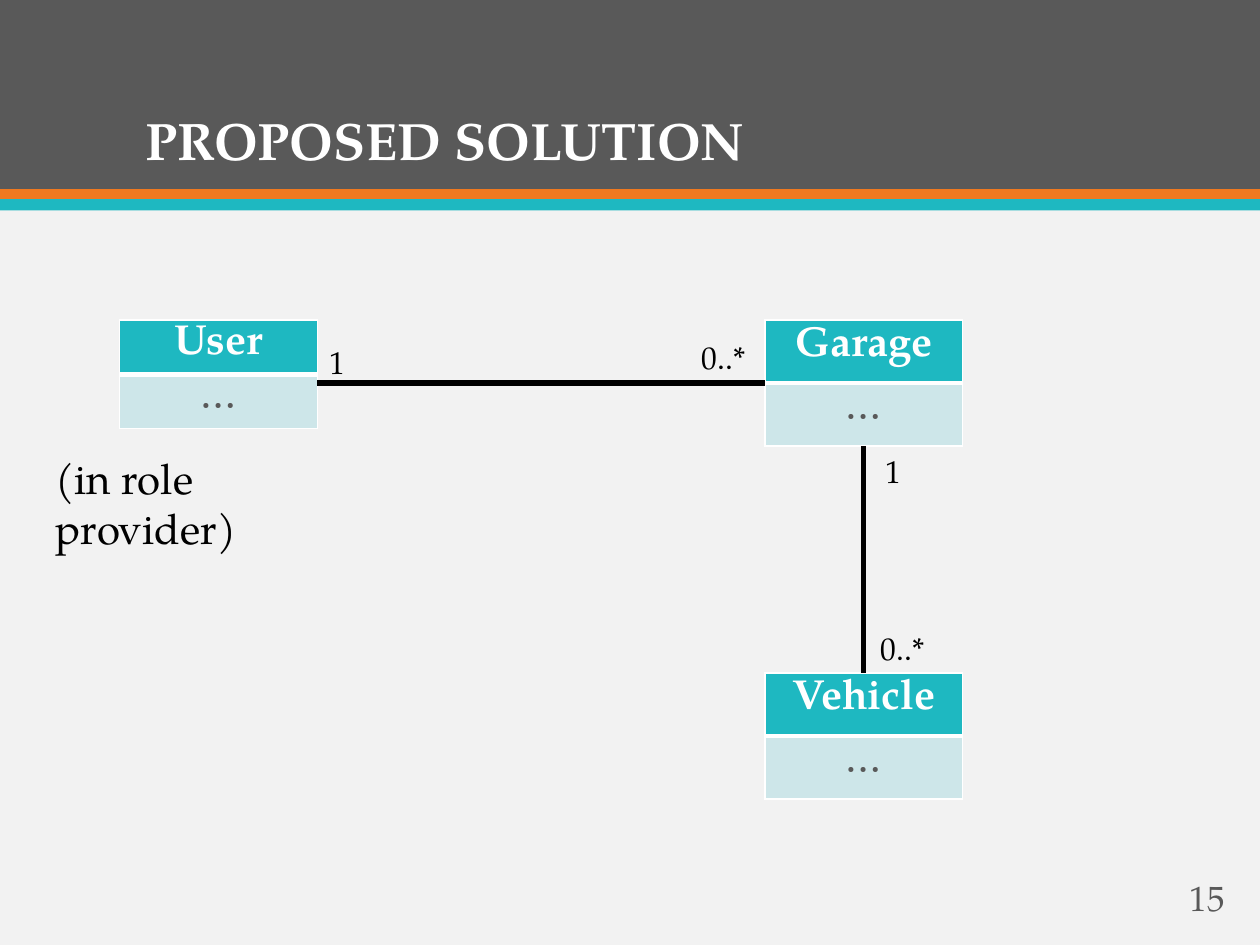
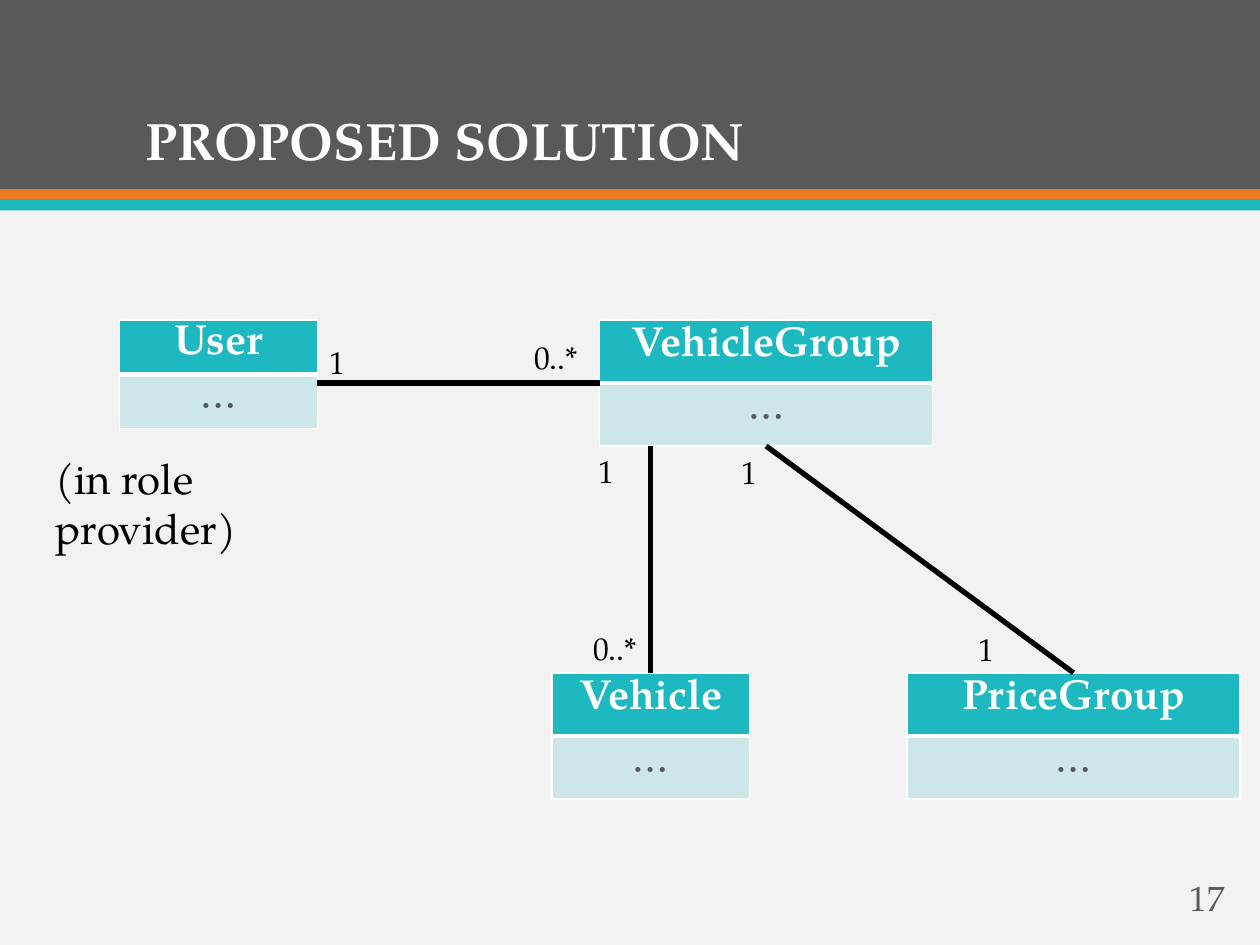
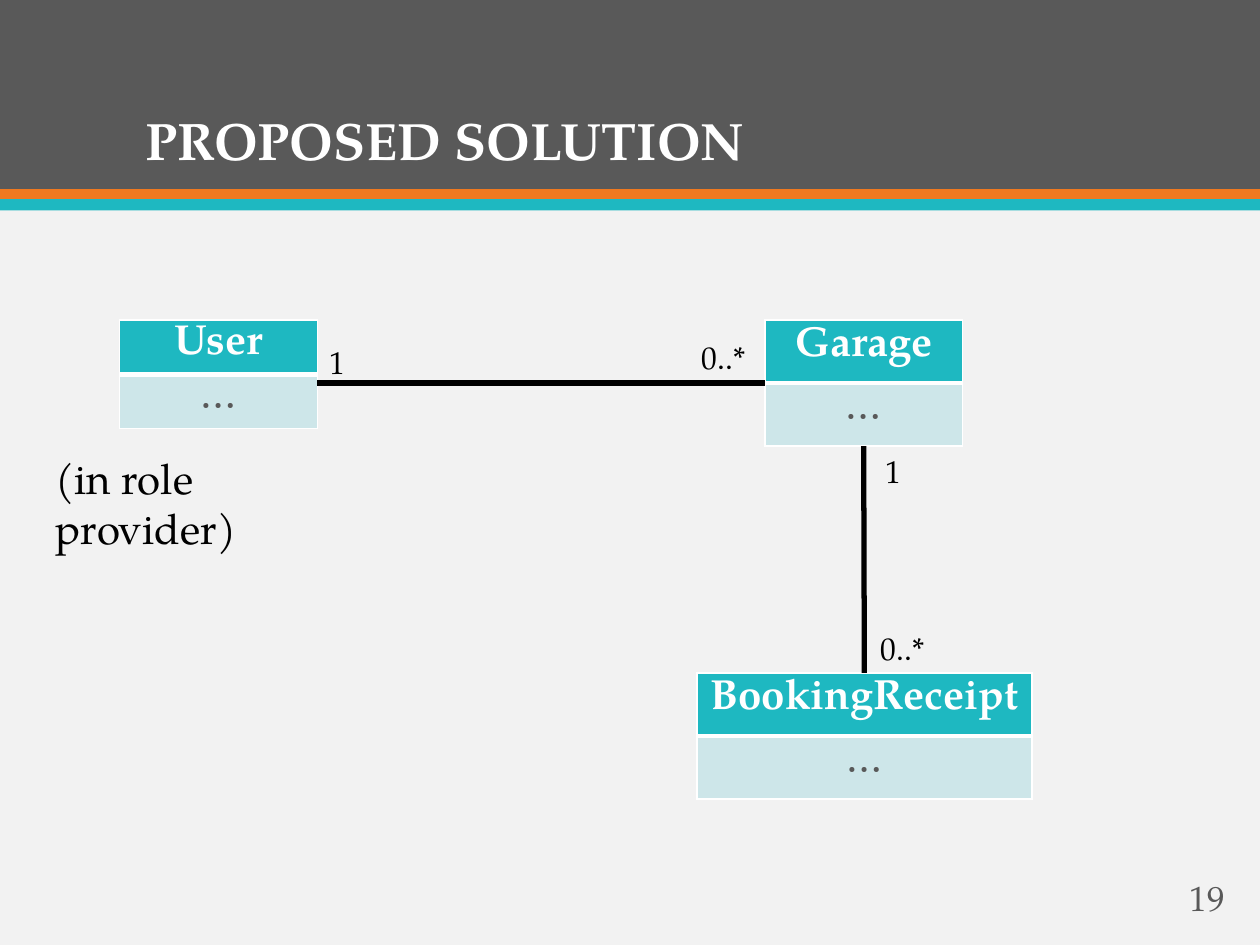
from lxml.etree import SubElement
from pptx import Presentation
from pptx.dml.color import RGBColor
from pptx.enum.shapes import MSO_CONNECTOR, MSO_SHAPE
from pptx.enum.text import MSO_ANCHOR, PP_ALIGN
from pptx.oxml.ns import qn
from pptx.util import Inches, Pt

# Colours and type
GREY = RGBColor(0x59, 0x59, 0x59)
ORANGE = RGBColor(0xEF, 0x79, 0x20)
TEAL = RGBColor(0x1E, 0xB8, 0xC1)
PALE_TEAL = RGBColor(0xCD, 0xE6, 0xE9)
BACKGROUND = RGBColor(0xF2, 0xF2, 0xF2)
WHITE = RGBColor(0xFF, 0xFF, 0xFF)
BLACK = RGBColor(0x00, 0x00, 0x00)
FONT = "TeX Gyre Pagella"
TITLE_FORMAT = {"size": Pt(30), "bold": True}
CLASS_FORMAT = {"size": Pt(24), "bold": True}
BODY_FORMAT = {"size": Pt(24), "bold": False}
LABEL_FORMAT = {"size": Pt(18)}
NUMBER_FORMAT = {"size": Pt(20)}

# Shared grid, in inches
SLIDE_WIDTH, SLIDE_HEIGHT = 10, 7.5
BANDS = [(0, 1.5, GREY), (1.5, 0.09, ORANGE), (1.58, 0.09, TEAL)]
UPPER_ROW, LOWER_ROW = 2.54, 5.34
BOX_HEIGHT, USER_HEIGHT = 1, 0.86
USER_LEFT, NARROW, WIDE = 0.95, 1.57, 2.64
USER_RIGHT = USER_LEFT + NARROW
LINK_TOP = UPPER_ROW + BOX_HEIGHT / 2
UPPER_BOTTOM = UPPER_ROW + BOX_HEIGHT
ONE, MANY = "1", "0..*"
LABEL_WIDTHS = {ONE: 0.33, MANY: 0.55}
LABEL_HEIGHT = 0.4
TOP, LEFT, BOTTOM = 0, 1, 2

# Content: classes are (name, left, top, width); links join a class side
# or a free point to a class side; labels are (text, left, top)
TITLE = "PROPOSED SOLUTION"
ROLE = "(in role provider)"
USER_POINT = (USER_RIGHT, LINK_TOP)
USER_LABEL = (ONE, USER_RIGHT, 2.67)


def garage_slide(number, lower_class, left, width):
    return {
        "number": number,
        "classes": [("Garage", 6.07, UPPER_ROW, NARROW),
                    (lower_class, left, LOWER_ROW, width)],
        "links": [(USER_POINT, ("Garage", LEFT)),
                  (("Garage", BOTTOM), (lower_class, TOP))],
        "labels": [(MANY, 5.47, 2.63), (ONE, 6.93, UPPER_BOTTOM),
                   (MANY, 6.89, LOWER_ROW - LABEL_HEIGHT)],
    }


SLIDES = [
    garage_slide("15", "Vehicle", 6.07, NARROW),
    {
        "number": "17",
        "classes": [("VehicleGroup", 4.76, UPPER_ROW, WIDE),
                    ("Vehicle", 4.38, LOWER_ROW, NARROW),
                    ("PriceGroup", 7.2, LOWER_ROW, WIDE)],
        "links": [(USER_POINT, ("VehicleGroup", LEFT)),
                  ((4.38 + NARROW / 2, UPPER_BOTTOM), ("Vehicle", TOP)),
                  (("VehicleGroup", BOTTOM), ("PriceGroup", TOP))],
        "labels": [(MANY, 4.14, 2.63), (ONE, 4.65, UPPER_BOTTOM),
                   (MANY, 4.61, LOWER_ROW - LABEL_HEIGHT),
                   (ONE, 5.79, 3.55), (ONE, 7.67, 4.95)],
    },
    garage_slide("19", "BookingReceipt", 5.53, 2.66),
]


def write(frame, text, color, formats, align=PP_ALIGN.LEFT):
    paragraph = frame.paragraphs[0]
    paragraph.alignment = align
    run = paragraph.add_run()
    run.text = text
    run.font.name = FONT
    run.font.color.rgb = color
    for name, value in formats.items():
        setattr(run.font, name, value)
    return paragraph


def add_text(slide, text, box, color, formats, align=PP_ALIGN.LEFT,
             anchor=MSO_ANCHOR.TOP, wrap=True):
    frame = slide.shapes.add_textbox(*map(Inches, box)).text_frame
    frame.word_wrap = wrap
    frame.vertical_anchor = anchor
    return write(frame, text, color, formats, align)


def set_borders(cell, bottom_width):
    properties = cell._tc.get_or_add_tcPr()
    widths = {"a:lnL": 1, "a:lnR": 1, "a:lnT": 1, "a:lnB": bottom_width}
    for position, (tag, width) in enumerate(widths.items()):
        line = SubElement(properties, qn(tag), w=str(Pt(width)))
        fill = SubElement(line, qn("a:solidFill"))
        SubElement(fill, qn("a:srgbClr"), val=str(WHITE))
        properties.insert(position, line)


def add_class(slide, name, left, top, width, height=BOX_HEIGHT):
    box = map(Inches, (left, top, width, height))
    graphic = slide.shapes.add_table(2, 1, *box)
    table = graphic.table
    table.first_row = table.horz_banding = False
    rows = [(name, TEAL, WHITE, CLASS_FORMAT, 3),
            ("…", PALE_TEAL, GREY, BODY_FORMAT, 1)]
    for index, (text, fill, color, formats, bottom_width) in enumerate(rows):
        cell = table.cell(index, 0)
        cell.fill.solid()
        cell.fill.fore_color.rgb = fill
        if height < BOX_HEIGHT:
            cell.margin_top, cell.margin_bottom = Inches(0.03), 0
        write(cell.text_frame, text, color, formats, PP_ALIGN.CENTER)
        set_borders(cell, bottom_width)
    return graphic


def add_link(slide, start, end, classes):
    connector = slide.shapes.add_connector(MSO_CONNECTOR.STRAIGHT, 0, 0, 0, 0)
    if start[0] in classes:
        connector.begin_connect(classes[start[0]], start[1])
    else:
        connector.begin_x, connector.begin_y = map(Inches, start)
    connector.end_connect(classes[end[0]], end[1])
    connector.line.color.rgb = BLACK
    connector.line.width = Pt(3)
    SubElement(connector._element.spPr, qn("a:effectLst"))


def add_base(slide, number):
    slide.background.fill.solid()
    slide.background.fill.fore_color.rgb = BACKGROUND
    for top, height, color in BANDS:
        box = map(Inches, (0, top, SLIDE_WIDTH, height))
        band = slide.shapes.add_shape(MSO_SHAPE.RECTANGLE, *box)
        band.shadow.inherit = False
        band.fill.solid()
        band.fill.fore_color.rgb = color
        band.line.fill.background()
    title = add_text(slide, TITLE, (1.06, 0.28, 7.88, 1.13), WHITE,
                     TITLE_FORMAT, anchor=MSO_ANCHOR.BOTTOM)
    title.line_spacing = 0.9
    add_text(slide, number, (8.7, 6.97, 1.12, 0.3), GREY, NUMBER_FORMAT,
             PP_ALIGN.RIGHT, MSO_ANCHOR.MIDDLE)


def add_diagram(slide, content):
    add_class(slide, "User", USER_LEFT, UPPER_ROW, NARROW, USER_HEIGHT)
    add_text(slide, ROLE, (0.34, UPPER_BOTTOM, 2.7, 0.5), BLACK, BODY_FORMAT)
    classes = {entry[0]: add_class(slide, *entry)
               for entry in content["classes"]}
    for start, end in content["links"]:
        add_link(slide, start, end, classes)
    for text, left, top in [USER_LABEL] + content["labels"]:
        box = (left, top, LABEL_WIDTHS[text], LABEL_HEIGHT)
        add_text(slide, text, box, BLACK, LABEL_FORMAT, wrap=False)


def main():
    presentation = Presentation()
    presentation.slide_width = Inches(SLIDE_WIDTH)
    presentation.slide_height = Inches(SLIDE_HEIGHT)
    for content in SLIDES:
        slide = presentation.slides.add_slide(presentation.slide_layouts[6])
        add_base(slide, content["number"])
        add_diagram(slide, content)
    presentation.save("out.pptx")


if __name__ == "__main__":
    main()
